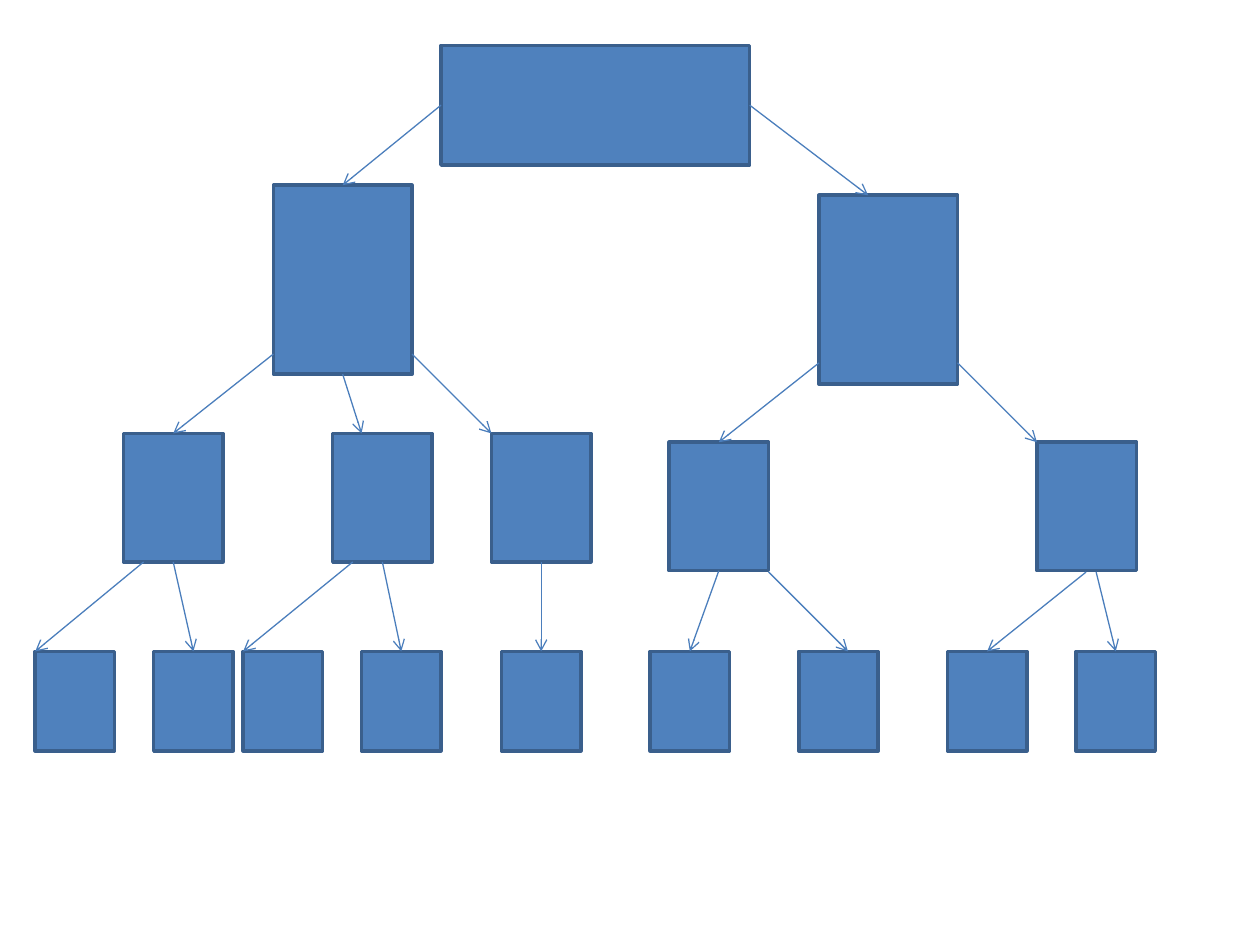
from typing import NamedTuple

from lxml import etree
from pptx import Presentation
from pptx.dml.color import RGBColor
from pptx.enum.shapes import MSO_CONNECTOR, MSO_SHAPE
from pptx.oxml.ns import qn
from pptx.shapes.autoshape import Shape
from pptx.shapes.shapetree import SlideShapes
from pptx.util import Inches, Pt

RECT = MSO_SHAPE.RECTANGLE
STRAIGHT = MSO_CONNECTOR.STRAIGHT
TOP, LEFT, BOTTOM, RIGHT = range(4)
COLORS = {"fill": "4F81BD", "edge": "3A5F8C", "arrow": "4B7EBC"}


class Box(NamedTuple):
    name: str
    x: float
    y: float
    w: float
    h: float


class Spot(NamedTuple):
    x: float
    y: float


class Joint(NamedTuple):
    box: str
    side: int


class Arrow(NamedTuple):
    start: Spot | Joint
    end: Spot | Joint


LEAF_Y = 5.17
LEAF_XS = [0.28, 1.22, 1.93, 2.87, 3.98, 5.16, 6.34, 7.52, 8.54]
MID_Y = {"left": 3.44, "right": 3.51}
MIDS = [("left", 0.98), ("left", 2.64), ("left", 3.9),
        ("right", 5.31), ("right", 8.23)]
LOW_L, LOW_R = 4.46, 4.54

BOXES = [
    Box("root", 3.5, 0.36, 2.45, 0.95),
    Box("left", 2.17, 1.47, 1.1, 1.5),
    Box("right", 6.5, 1.55, 1.1, 1.5),
    *(Box(f"mid{i}", x, MID_Y[side], 0.79, 1.02)
      for i, (side, x) in enumerate(MIDS, 1)),
    *(Box(f"leaf{i}", x, LEAF_Y, 0.63, 0.79)
      for i, x in enumerate(LEAF_XS, 1)),
]

ARROWS = [
    Arrow(Joint("root", LEFT), Joint("left", TOP)),
    Arrow(Joint("root", RIGHT), Spot(6.89, 1.55)),
    Arrow(Spot(2.17, 2.81), Joint("mid1", TOP)),
    Arrow(Joint("left", BOTTOM), Spot(2.87, MID_Y["left"])),
    Arrow(Spot(3.27, 2.81), Spot(3.9, MID_Y["left"])),
    Arrow(Spot(6.5, 2.88), Joint("mid4", TOP)),
    Arrow(Spot(7.6, 2.88), Spot(8.23, MID_Y["right"])),
    Arrow(Spot(1.14, LOW_L), Spot(0.28, LEAF_Y)),
    Arrow(Joint("mid1", BOTTOM), Joint("leaf2", TOP)),
    Arrow(Spot(2.8, LOW_L), Spot(1.93, LEAF_Y)),
    Arrow(Joint("mid2", BOTTOM), Joint("leaf4", TOP)),
    Arrow(Joint("mid3", BOTTOM), Joint("leaf5", TOP)),
    Arrow(Joint("mid4", BOTTOM), Joint("leaf6", TOP)),
    Arrow(Spot(6.1, LOW_R), Spot(6.73, LEAF_Y)),
    Arrow(Spot(8.62, LOW_R), Joint("leaf8", TOP)),
    Arrow(Spot(8.7, LOW_R), Joint("leaf9", TOP)),
]


def color(key: str) -> RGBColor:
    return RGBColor.from_string(COLORS[key])


def draw_box(shapes: SlideShapes, box: Box) -> Shape:
    rect = shapes.add_shape(RECT, Inches(box.x), Inches(box.y),
                            Inches(box.w), Inches(box.h))
    rect.shadow.inherit = False
    rect.fill.solid()
    rect.fill.fore_color.rgb = color("fill")
    rect.line.color.rgb = color("edge")
    rect.line.width = Pt(2)
    return rect


def draw_arrow(shapes: SlideShapes, arrow: Arrow,
               rects: dict[str, Shape]) -> None:
    """Place free ends at their spots and join the others to box sides."""
    line = shapes.add_connector(STRAIGHT, 0, 0, 0, 0)
    if isinstance(arrow.start, Joint):
        line.begin_connect(rects[arrow.start.box], arrow.start.side)
    else:
        line.begin_x, line.begin_y = map(Inches, arrow.start)
    if isinstance(arrow.end, Joint):
        line.end_connect(rects[arrow.end.box], arrow.end.side)
    else:
        line.end_x, line.end_y = map(Inches, arrow.end)
    line.line.color.rgb = color("arrow")
    line.line.width = Pt(0.75)
    props = line.element.spPr
    etree.SubElement(props.find(qn("a:ln")), qn("a:tailEnd"), type="arrow")
    etree.SubElement(props, qn("a:effectLst"))


def main() -> None:
    deck = Presentation()
    deck.slide_width, deck.slide_height = Inches(10), Inches(7.5)
    shapes = deck.slides.add_slide(deck.slide_layouts[6]).shapes
    rects = {box.name: draw_box(shapes, box) for box in BOXES}
    for arrow in ARROWS:
        draw_arrow(shapes, arrow, rects)
    deck.save("out.pptx")


if __name__ == "__main__":
    main()
